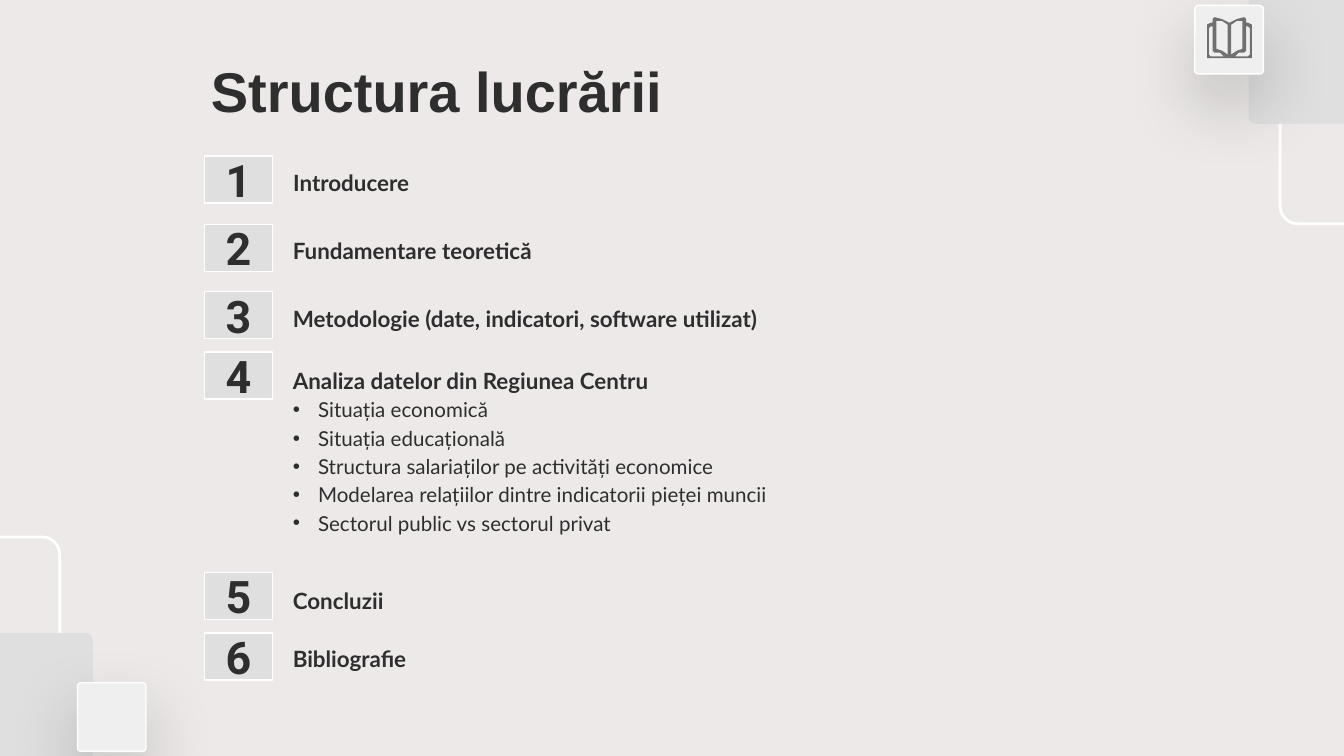
from lxml.etree import SubElement
from pptx import Presentation
from pptx.dml.color import RGBColor
from pptx.enum.shapes import MSO_SHAPE
from pptx.enum.text import MSO_ANCHOR, MSO_AUTO_SIZE, PP_ALIGN
from pptx.oxml.ns import qn
from pptx.util import Pt

COLORS = {"back": "EDE9E9", "grey": "DFDFDF", "tile": "EFEFEF",
          "white": "FFFFFF", "text": "2E2E2E", "icon": "707070",
          "shade": "000000"}

# Each row: heading, top of number box, top and size of text
ROWS = [
    ("Introducere", 83.5, 81.4, 93.6, 29.5),
    ("Fundamentare teoretică", 120.2, 117.4, 275.8, 29.5),
    ("Metodologie (date, indicatori, software utilizat)",
     156.2, 154.1, 309.6, 29.5),
    ("Analiza datelor din Regiunea Centru", 188.6, 187.2, 338.4, 108),
    ("Concluzii", 306.7, 305.3, 93.6, 28),
    ("Bibliografie", 339.1, 336.2, 97.9, 28),
]
POINTS = {4: ["Situația economică", "Situația educațională",
              "Structura salariaților pe activități economice",
              "Modelarea relațiilor dintre indicatorii pieței muncii",
              "Sectorul public vs sectorul privat"]}

# Right half of the book icon, from its top centre
COVER = [(0, 2.6), (0.5, 2.6), (3.5, 0.8), (7.8, 0), (8.6, 0.7), (8.6, 3),
         (10.1, 3), (11.6, 3.6), (12.2, 5.3), (12.2, 19.8), (11.6, 21.6),
         (10, 22.3), (0, 22.3)]
PAGE = [(0.8, 4.5), (3.5, 2.5), (6.9, 1.6), (6.9, 17.3), (3.5, 18.3),
        (0.8, 20)]
SIDE = [(8.6, 4.7), (10, 4.7), (10.6, 5.5), (10.6, 19.8), (10, 20.7),
        (2.6, 20.7), (5, 19.4), (8, 18.9), (8.6, 18.1)]


def rgb(name):
    return RGBColor.from_string(COLORS[name])


def place(shape, *box):
    shape.left, shape.top, shape.width, shape.height = map(Pt, box)


def style(para, size, face, bold=True):
    font = para.font
    font.size, font.name, font.bold = Pt(size), face, bold
    font.color.rgb = rgb("text")


def setup(frame, anchor=MSO_ANCHOR.TOP):
    frame.word_wrap = True
    frame.auto_size = MSO_AUTO_SIZE.NONE
    frame.vertical_anchor = anchor
    frame.margin_left = frame.margin_right = Pt(7.2)
    frame.margin_top = frame.margin_bottom = Pt(7.2)


def add_box(slide, kind, box, fill=None, line=0):
    shape = slide.shapes.add_shape(kind, *map(Pt, box))
    if fill:
        shape.fill.solid()
        shape.fill.fore_color.rgb = rgb(fill)
    else:
        shape.fill.background()
    if line:
        shape.line.color.rgb = rgb("white")
        shape.line.width = Pt(line)
    else:
        shape.line.fill.background()
    shape.shadow.inherit = False
    return shape


def add_round(slide, box, turn, bend, fill=None, line=0):
    shape = add_box(slide, MSO_SHAPE.ROUNDED_RECTANGLE, box, fill, line)
    shape.adjustments[0] = bend
    shape.rotation = turn
    return shape


def add_shade(shape):
    effects = shape._element.spPr.find(qn("a:effectLst"))
    shade = SubElement(effects, qn("a:outerShdw"), blurRad=str(Pt(38.2)),
                       dist=str(Pt(15.8)), dir="5400000", rotWithShape="0")
    color = SubElement(shade, qn("a:srgbClr"), val=COLORS["shade"])
    SubElement(color, qn("a:alpha"), val="20000")


def add_corner(slide, frame, block, tile, turn):
    add_round(slide, (*frame, 91.4, 43.2), turn + 270, 0.22, line=1.5)
    add_round(slide, (*block, 77.8, 77.8), turn, 0.05, "grey")
    add_shade(add_round(slide, (*tile, 36.7, 36.7), turn, 0.05,
                        "tile", 0.75))


def add_book(slide, mid, top):
    def flip(half):
        return [(-x, y) for x, y in reversed(half)]

    loops = [COVER + flip(COVER), PAGE, flip(PAGE), SIDE, flip(SIDE)]
    pen = slide.shapes.build_freeform(*loops[0][0], scale=Pt(1))
    for loop in loops:
        pen.move_to(*loop[0])
        pen.add_line_segments(loop[1:], close=True)
    book = pen.convert_to_shape(Pt(mid), Pt(top))
    book.fill.solid()
    book.fill.fore_color.rgb = rgb("icon")
    book.line.fill.background()
    book.shadow.inherit = False


def set_bullet(para, mark=None):
    props = para._p.get_or_add_pPr()
    indent = Pt(13.5) if mark else 0
    props.set("marL", str(indent))
    props.set("indent", str(-indent))
    if mark:
        color = SubElement(props, qn("a:buClr"))
        SubElement(color, qn("a:srgbClr"), val=COLORS["text"])
        SubElement(props, qn("a:buFont"), typeface="Arial")
        SubElement(props, qn("a:buChar"), char=mark)
    else:
        SubElement(props, qn("a:buNone"))


def fill_text(frame, head, points):
    setup(frame)
    for i, words in enumerate([head, *points]):
        para = frame.add_paragraph() if i else frame.paragraphs[0]
        para.text = words
        para.line_spacing = 1.15
        para.space_before = Pt(0)
        style(para, 11 if i else 12, "Lato", not i)
        set_bullet(para, "•" if i else None)


def add_number(slide, num, top):
    box = add_box(slide, MSO_SHAPE.RECTANGLE, (109.4, top, 36.7, 25.2),
                  "grey", 0.75)
    frame = box.text_frame
    setup(frame, MSO_ANCHOR.MIDDLE)
    para = frame.paragraphs[0]
    para.text = str(num)
    para.alignment = PP_ALIGN.CENTER
    style(para, 24, "Roboto")


def set_title(title, words):
    place(title, 105.8, 23, 607, 49.7)
    setup(title.text_frame)
    para = title.text_frame.paragraphs[0]
    para.text = words
    para.alignment = PP_ALIGN.LEFT
    style(para, 30, "Arial")


def main():
    deck = Presentation()
    deck.slide_width, deck.slide_height = Pt(720), Pt(405)
    slide = deck.slides.add_slide(deck.slide_layouts[1])
    slide.background.fill.solid()
    slide.background.fill.fore_color.rgb = rgb("back")

    # Corner ornaments
    add_corner(slide, (661.7, 52.6), (668.9, -11.5), (640.1, 2.9), 0)
    add_corner(slide, (-35.3, 311.8), (-28.1, 339.1), (41.5, 365.8), 180)
    add_book(slide, 658.6, 9.2)

    # Title and numbered contents
    set_title(slide.shapes.title, "Structura lucrării")
    for num, (head, tile, top, wide, high) in enumerate(ROWS, 1):
        box = (149.8, top, wide, high)
        if num == 1:
            text = slide.placeholders[1]
            place(text, *box)
        else:
            text = slide.shapes.add_textbox(*map(Pt, box))
        fill_text(text.text_frame, head, POINTS.get(num, []))
        add_number(slide, num, tile)

    deck.save("out.pptx")


if __name__ == "__main__":
    main()
